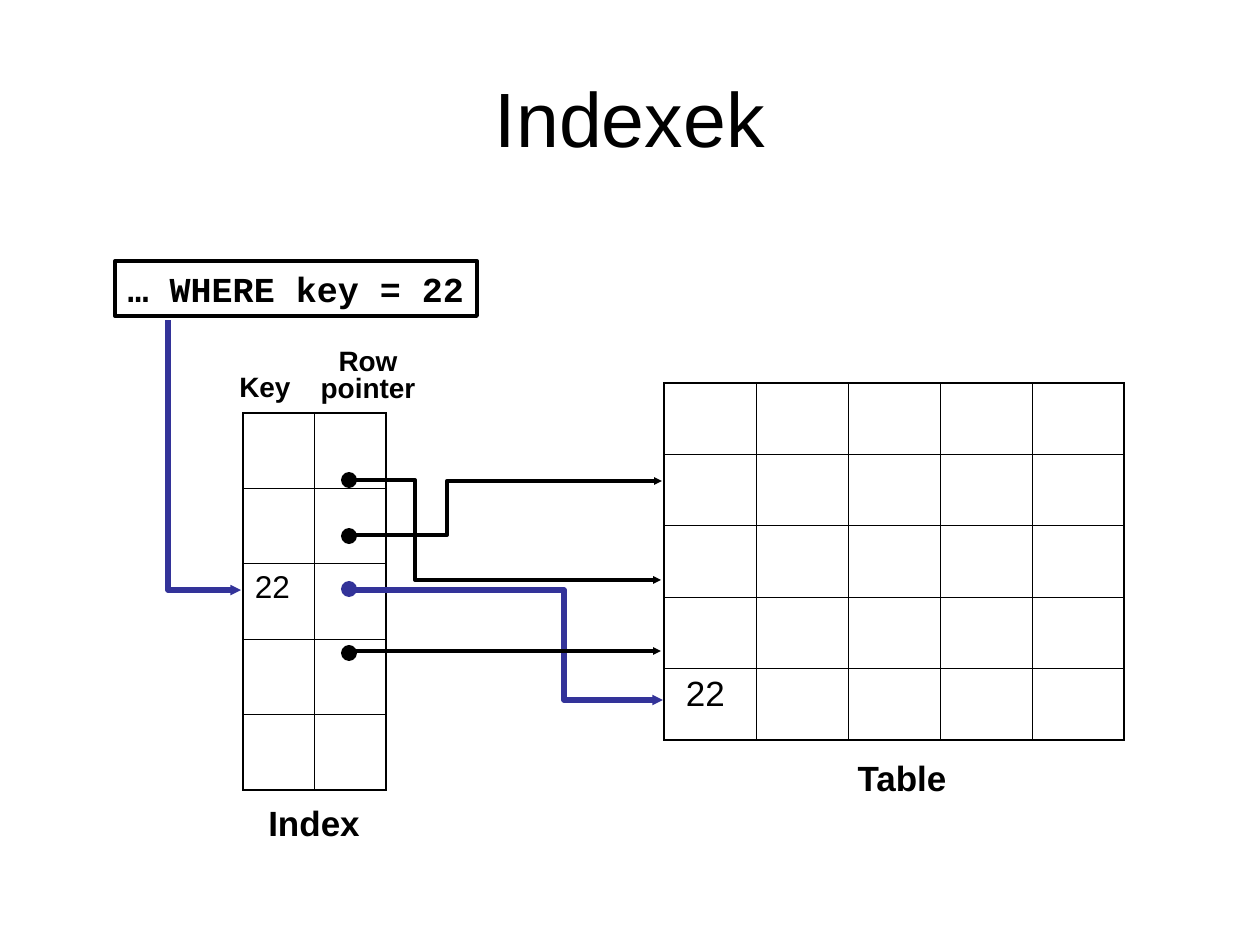
"""Build the slide that shows how an index points to table rows."""
from dataclasses import dataclass

from lxml.etree import SubElement
from pptx import Presentation
from pptx.dml.color import RGBColor
from pptx.enum.shapes import MSO_CONNECTOR, MSO_SHAPE
from pptx.enum.text import MSO_ANCHOR, PP_ALIGN
from pptx.oxml import parse_xml
from pptx.oxml.ns import nsdecls, qn
from pptx.util import Emu, Pt

SCALE = 914400 / 126
BLACK, BLUE = "000000", "333399"
OUTER, INNER = 1.08, 0.45


@dataclass
class Label:
    lines: list[str]
    box: tuple[int, int, int, int]
    size: int
    bold: bool = True
    font: str = "Arial"
    wrap: bool = False
    spacing: float = 1.0
    anchor: MSO_ANCHOR = MSO_ANCHOR.TOP


@dataclass
class Grid:
    box: tuple[int, int, int, int]
    rows: int
    cols: int
    key_row: int
    key_size: int
    key_margin: int


@dataclass
class Route:
    points: list[tuple[int, int]]
    color: str = BLACK
    width: float = 2.25


@dataclass
class Dot:
    x: int
    y: int
    color: str = BLACK
    size: int = 16


def px(n: float) -> Emu:
    return Emu(round(n * SCALE))


def rgb(color: str) -> RGBColor:
    return RGBColor.from_string(color)


def add_run(p, text: str, size: int, font: str = "Arial", bold: bool = False) -> None:
    r = p.add_run()
    r.text = text
    r.font.size, r.font.name, r.font.bold = Pt(size), font, bold
    r.font.color.rgb = rgb(BLACK)


def fill_text(sp, label: Label) -> None:
    tf = sp.text_frame
    tf.word_wrap, tf.vertical_anchor = label.wrap, label.anchor
    p = tf.paragraphs[0]
    p.alignment, p.line_spacing = PP_ALIGN.CENTER, label.spacing
    for i, line in enumerate(label.lines):
        if i:
            p.add_line_break()
        add_run(p, line, label.size, label.font, label.bold)


def add_label(slide, label: Label) -> None:
    fill_text(slide.shapes.add_textbox(*map(px, label.box)), label)


def add_query(slide, label: Label) -> None:
    sp = slide.shapes.add_shape(MSO_SHAPE.RECTANGLE, *map(px, label.box))
    sp.shadow.inherit = False
    sp.fill.background()
    sp.line.color.rgb, sp.line.width = rgb(BLACK), Pt(2.25)
    fill_text(sp, label)


def set_borders(cell, widths: dict[str, float]) -> None:
    tc_pr = cell._tc.get_or_add_tcPr()
    for i, (side, width) in enumerate(widths.items()):
        tc_pr.insert(i, parse_xml(
            f'<a:ln{side} {nsdecls("a")} w="{Pt(width)}"><a:solidFill>'
            f'<a:srgbClr val="{BLACK}"/></a:solidFill></a:ln{side}>'))


def add_grid(slide, grid: Grid) -> None:
    table = slide.shapes.add_table(grid.rows, grid.cols, *map(px, grid.box)).table
    table.first_row = table.horz_banding = False
    for col in table.columns:
        col.width = px(grid.box[2] / grid.cols)
    for i, row in enumerate(table.rows):
        row.height = px(grid.box[3] / grid.rows)
        for j, cell in enumerate(row.cells):
            cell.fill.background()
            edges = {"L": j == 0, "R": j == grid.cols - 1,
                     "T": i == 0, "B": i == grid.rows - 1}
            set_borders(cell, {s: OUTER if e else INNER for s, e in edges.items()})
    key = table.cell(grid.key_row, 0)
    key.margin_left = px(grid.key_margin)
    add_run(key.text_frame.paragraphs[0], "22", grid.key_size)


def add_route(slide, route: Route) -> None:
    start, *rest = route.points
    if len(rest) == 1:
        sp = slide.shapes.add_connector(
            MSO_CONNECTOR.STRAIGHT, *map(px, start), *map(px, rest[0]))
        SubElement(sp._element.spPr, qn("a:effectLst"))
    else:
        builder = slide.shapes.build_freeform(*start, scale=SCALE)
        builder.add_line_segments(rest, close=False)
        sp = builder.convert_to_shape()
        sp.shadow.inherit = False
        sp.fill.background()
    sp.line.color.rgb, sp.line.width = rgb(route.color), Pt(route.width)
    ln = sp.line._get_or_add_ln()
    SubElement(ln, qn("a:round"))
    SubElement(ln, qn("a:tailEnd"), type="triangle", w="sm", len="sm")


def add_dot(slide, dot: Dot) -> None:
    half = dot.size / 2
    sp = slide.shapes.add_shape(MSO_SHAPE.OVAL, px(dot.x - half), px(dot.y - half),
                                px(dot.size), px(dot.size))
    sp.shadow.inherit = False
    sp.fill.solid()
    sp.fill.fore_color.rgb = rgb(dot.color)
    sp.line.fill.background()


LABELS = [
    Label(["Indexek"], (63, 38, 1134, 158), 44, bold=False, wrap=True,
          anchor=MSO_ANCHOR.MIDDLE),
    Label(["Index"], (249, 795, 130, 55), 20),
    Label(["Table"], (837, 750, 130, 55), 20),
    Label(["Key"], (210, 363, 110, 47), 16, wrap=True),
    Label(["Row", "pointer"], (303, 344, 130, 67), 16, spacing=0.8),
]
QUERY = Label(["… WHERE key = 22"], (115, 261, 362, 55), 20, font="Courier New")
GRIDS = [
    Grid((243, 413, 143, 377), 5, 2, key_row=2, key_size=18, key_margin=12),
    Grid((664, 383, 460, 357), 5, 5, key_row=4, key_size=20, key_margin=22),
]
DOTS = [Dot(349, 480), Dot(349, 536), Dot(349, 589, BLUE), Dot(349, 653)]
ROUTES = [
    Route([(349, 590), (564, 590), (564, 700), (663, 700)], BLUE, 3),
    Route([(168, 320), (168, 590), (241, 590)], BLUE, 3),
    Route([(349, 535), (447, 535), (447, 481), (662, 481)]),
    Route([(349, 651), (661, 651)]),
    Route([(349, 480), (415, 480), (415, 580), (661, 580)]),
]


def main() -> None:
    prs = Presentation()
    prs.slide_width, prs.slide_height = px(1260), px(945)
    slide = prs.slides.add_slide(prs.slide_layouts[6])
    for grid in GRIDS:
        add_grid(slide, grid)
    for label in LABELS:
        add_label(slide, label)
    add_query(slide, QUERY)
    for dot in DOTS:
        add_dot(slide, dot)
    for route in ROUTES:
        add_route(slide, route)
    prs.save("out.pptx")


if __name__ == "__main__":
    main()
